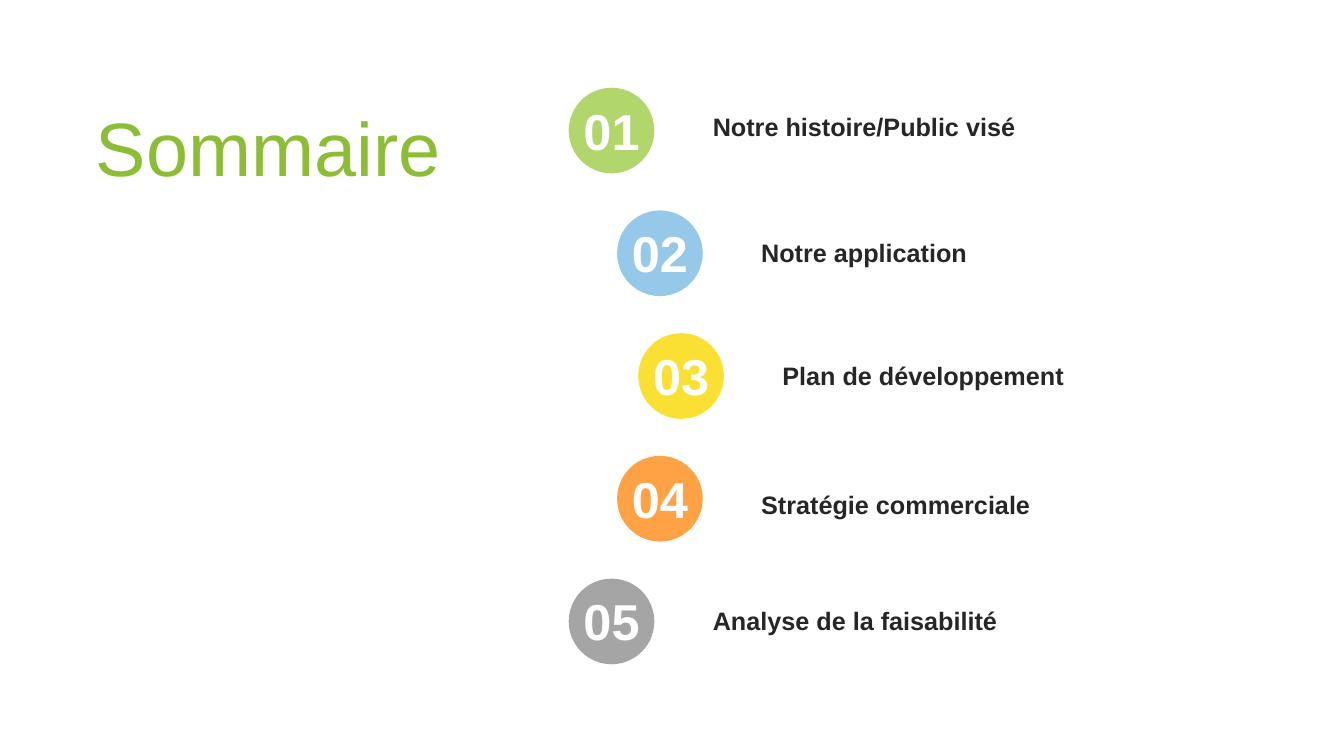
from dataclasses import dataclass

from pptx import Presentation
from pptx.dml.color import RGBColor
from pptx.enum import shapes, text
from pptx.util import Inches, Pt


@dataclass(frozen=True)
class Theme:
    font: str = "Arial"
    title_color: str = "8CBD35"
    label_color: str = "262626"
    number_color: str = "FFFFFF"
    title_size: int = 54
    number_size: int = 36
    label_size: int = 18


class AgendaSlide:
    def __init__(self, deck, theme):
        self.theme = theme
        self.page = deck.slides.add_slide(deck.slide_layouts[5])

    def set_text(self, box, words, size, color, bold=False,
                 align=text.PP_ALIGN.LEFT, **frame_format):
        frame = box.text_frame
        frame_format = {"word_wrap": True, "auto_size": text.MSO_AUTO_SIZE.NONE,
                        **frame_format}
        for name, value in frame_format.items():
            setattr(frame, name, value)
        para = frame.paragraphs[0]
        para.alignment = align
        span = para.add_run()
        span.text = words
        span_format = {"name": self.theme.font, "size": Pt(size), "bold": bold}
        for name, value in span_format.items():
            setattr(span.font, name, value)
        span.font.color.rgb = RGBColor.from_string(color)

    def title(self, words, left, top, width, height):
        box = self.page.shapes.title
        place = {"left": left, "top": top, "width": width, "height": height}
        for name, value in place.items():
            setattr(box, name, Inches(value))
        self.set_text(box, words, self.theme.title_size, self.theme.title_color,
                      vertical_anchor=text.MSO_ANCHOR.MIDDLE)

    def text_box(self, group, words, area, size, color, **options):
        box = group.shapes.add_textbox(*map(Inches, area))
        self.set_text(box, words, size, color, bold=True, margin_left=Inches(0.12),
                      margin_right=Inches(0.12), **options)

    def circle(self, group, left, top, diameter, color):
        disc = group.shapes.add_shape(shapes.MSO_SHAPE.OVAL,
                                      *map(Inches, (left, top, diameter, diameter)))
        disc.shadow.inherit = False
        disc.fill.solid()
        disc.fill.fore_color.rgb = RGBColor.from_string(color)
        disc.line.fill.background()

    def entry(self, number, label, left, top, label_top, color):
        """Group a numbered circle with the label on its right."""
        theme = self.theme
        group = self.page.shapes.add_group_shape()
        self.text_box(group, label, (left + 1.31, label_top, 4.93, 0.4),
                      theme.label_size, theme.label_color)
        self.circle(group, left, top, 0.85, color)
        self.text_box(group, f"{number:02}", (left - 0.1, top + 0.07, 1.05, 0.71),
                      theme.number_size, theme.number_color,
                      align=text.PP_ALIGN.CENTER)


# label, circle left, label top, circle colour
ENTRIES = [
    ("Notre histoire/Public visé", 5.64, 1.06, "B0D66C"),
    ("Notre application", 6.12, 2.31, "96C8E9"),
    ("Plan de développement", 6.33, 3.53, "FBE034"),
    ("Stratégie commerciale", 6.12, 4.81, "FFA246"),
    ("Analyse de la faisabilité", 5.64, 5.96, "A5A5A5"),
]
FIRST_TOP, LAST_TOP = 0.87, 5.74


def main():
    deck = Presentation()
    deck.slide_width, deck.slide_height = Inches(13.33), Inches(7.5)
    agenda = AgendaSlide(deck, Theme())
    agenda.title("Sommaire", 0.85, 0.95, 3.81, 1.01)
    step = (LAST_TOP - FIRST_TOP) / (len(ENTRIES) - 1)
    for index, (label, left, label_top, color) in enumerate(ENTRIES):
        agenda.entry(index + 1, label, left, FIRST_TOP + index * step,
                     label_top, color)
    deck.save("out.pptx")


if __name__ == "__main__":
    main()
